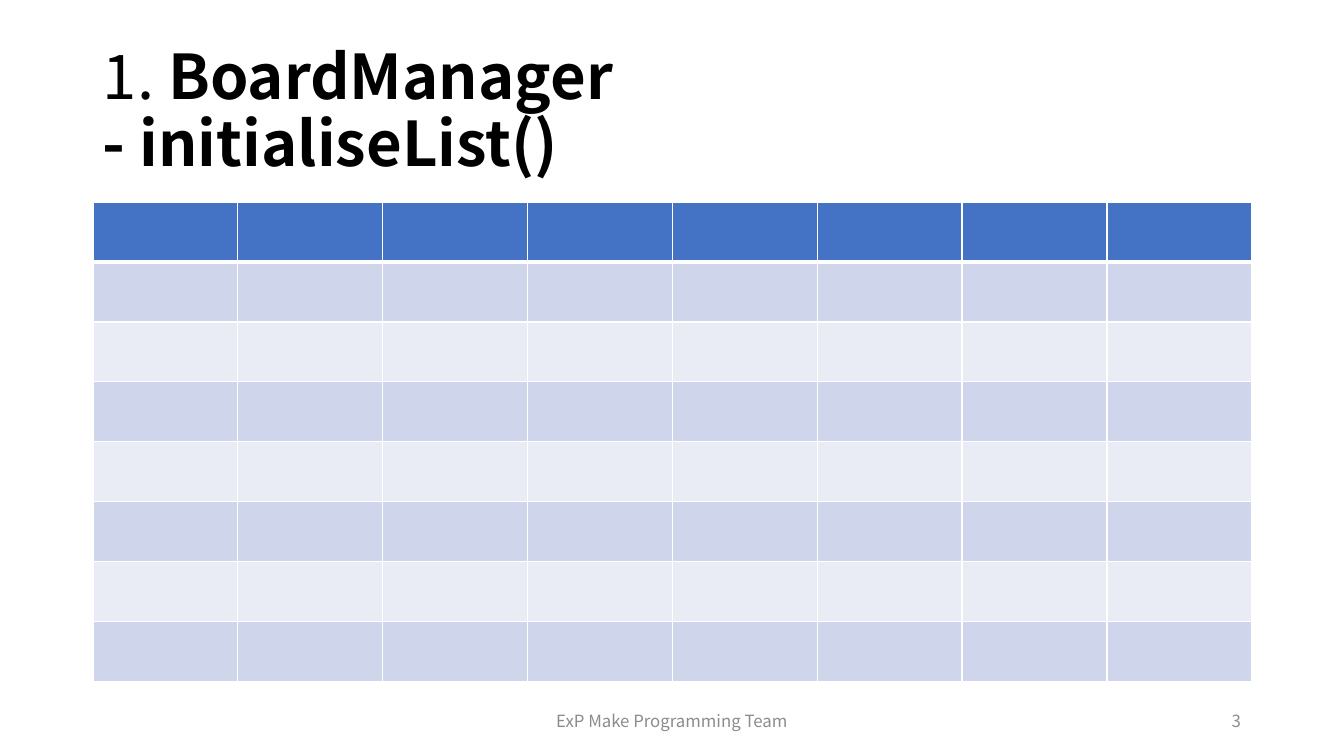
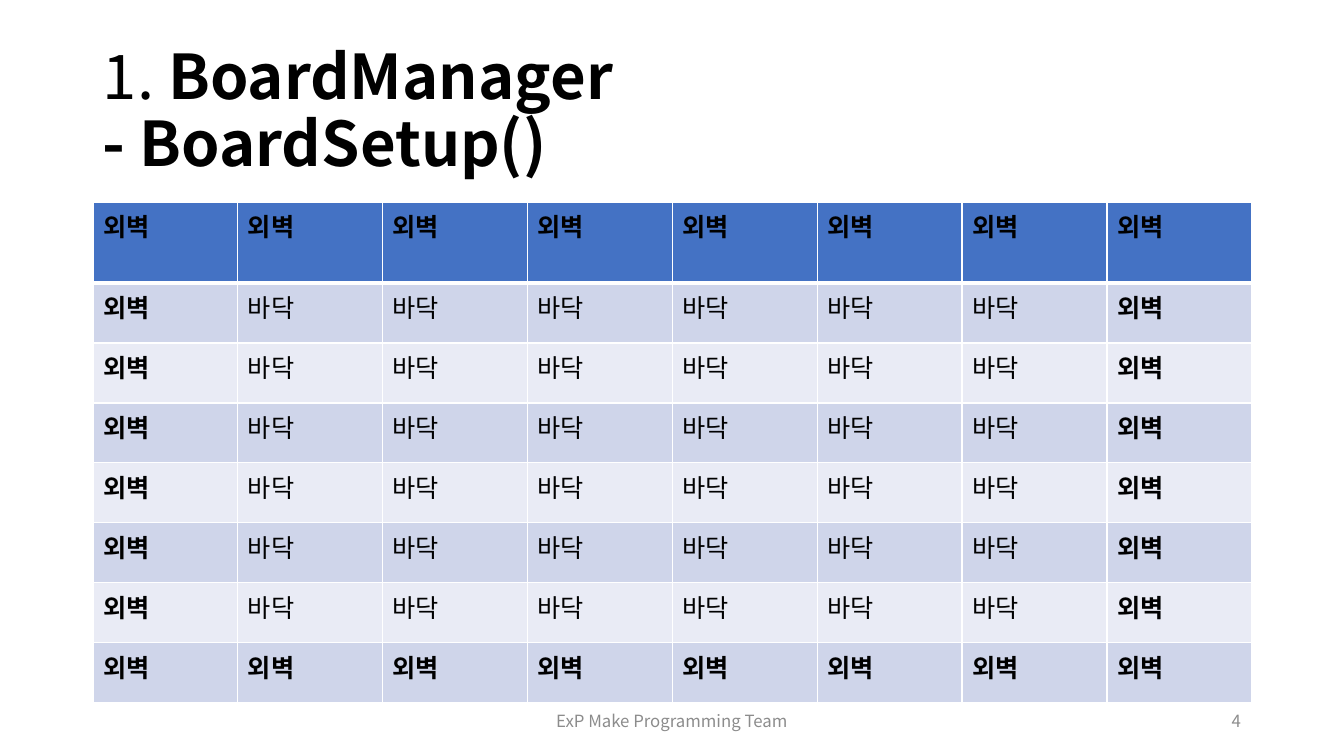
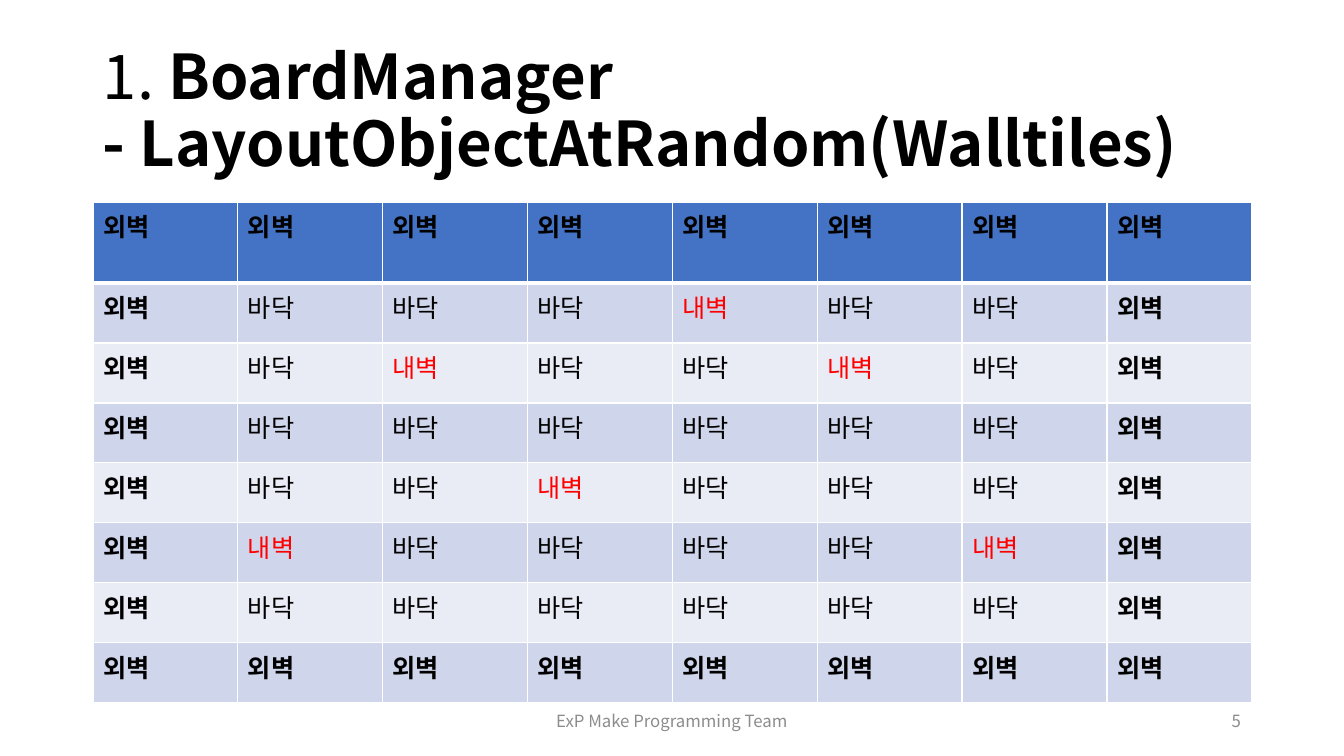
from lxml import etree
from pptx import Presentation
from pptx.dml.color import RGBColor
from pptx.enum.text import MSO_ANCHOR, PP_ALIGN
from pptx.oxml.ns import qn
from pptx.util import Pt

LEFT, CENTER, RIGHT = PP_ALIGN.LEFT, PP_ALIGN.CENTER, PP_ALIGN.RIGHT
MIDDLE = MSO_ANCHOR.MIDDLE
SCALE = 914400 / 100.8
FONT = "Noto Sans CJK KR"
BLACK, GREY, RED, WHITE = "000000", "8C8C8C", "FF0000", "FFFFFF"
HEADER, BANDS = "4472C4", ("E9EBF5", "CFD5EA")
OUTER_WALL, FLOOR, INNER_WALL = "외벽", "바닥", "내벽"
GRID = 8
ROW_HEIGHT, TALL_HEADER = 60, 81


def px(value):
    """Turn pixels into EMU."""
    return round(value * SCALE)


def color(code):
    """Turn a hex string into a colour."""
    return RGBColor.from_string(code)


def write(para, text, size=18, bold=False, ink=BLACK):
    """Add one formatted span of text to a paragraph."""
    span = para.add_run()
    span.text = text
    font = span.font
    font.name, font.size, font.bold = FONT, Pt(size), bold
    font.color.rgb = color(ink)
    east_asian = etree.SubElement(span._r.get_or_add_rPr(), qn("a:ea"))
    east_asian.set("typeface", FONT)


def add_border(cell, side, points):
    """Draw one white border of a cell; call before filling the cell."""
    properties = cell._tc.get_or_add_tcPr()
    line = etree.SubElement(properties, qn(f"a:ln{side}"), w=str(Pt(points)))
    fill = etree.SubElement(line, qn("a:solidFill"))
    etree.SubElement(fill, qn("a:srgbClr"), val=WHITE)


class BoardDeck:
    """Holds the presentation, the shared style and the current page."""

    def __init__(self):
        """Start an empty widescreen deck."""
        self.deck = Presentation()
        self.deck.slide_width, self.deck.slide_height = px(1344), px(756)
        self.page = None

    def add_page(self, number, method):
        """Add a page with its title and footer."""
        self.page = self.deck.slides.add_slide(self.deck.slide_layouts[6])
        title = self.add_box(93, 40, 1159, 146)
        title.line_spacing = 0.9
        write(title, "1. ", size=44)
        write(title, "BoardManager", size=44, bold=True)
        title.add_line_break()
        write(title, f"- {method}", size=44, bold=True)
        team = self.add_box(445, 701, 454, 40, align=CENTER)
        write(team, "ExP Make Programming Team", size=12, ink=GREY)
        page_number = self.add_box(949, 701, 302, 40, align=RIGHT)
        write(page_number, str(number), size=12, ink=GREY)

    def add_box(self, left, top, width, height, align=LEFT):
        """Add a wrapping text box and return its paragraph."""
        box = self.page.shapes.add_textbox(px(left), px(top), px(width), px(height))
        frame = box.text_frame
        frame.word_wrap, frame.vertical_anchor = True, MIDDLE
        para = frame.paragraphs[0]
        para.alignment = align
        return para

    def add_board(self, tiles=None, header_height=ROW_HEIGHT):
        """Add the board grid, with a word in each cell if tiles are given."""
        height = header_height + (GRID - 1) * ROW_HEIGHT
        board = self.page.shapes.add_table(
            GRID, GRID, px(93), px(202), px(1159), px(height)).table
        board.first_row = board.horz_banding = False
        for row_index, row in enumerate(board.rows):
            row.height = px(ROW_HEIGHT if row_index else header_height)
            for column_index, cell in enumerate(row.cells):
                self.style_cell(cell, row_index)
                if tiles:
                    tile = tiles[row_index][column_index]
                    write(cell.text_frame.paragraphs[0], tile,
                          bold=tile == OUTER_WALL,
                          ink=RED if tile == INNER_WALL else BLACK)

    def style_cell(self, cell, row_index):
        """Give a cell its borders and its header or band fill."""
        top = 3 if row_index == 1 else 1
        bottom = 3 if row_index == 0 else 1
        for side, points in (("L", 1), ("R", 1), ("T", top), ("B", bottom)):
            add_border(cell, side, points)
        cell.fill.solid()
        cell.fill.fore_color.rgb = color(BANDS[row_index % 2] if row_index else HEADER)


def make_tiles(inner_walls=()):
    """Return rows of floor tiles ringed by outer walls, with inner walls set."""
    edges = (0, GRID - 1)

    def tile_at(row, column):
        """Name the tile at one place."""
        if row in edges or column in edges:
            return OUTER_WALL
        return INNER_WALL if (row, column) in inner_walls else FLOOR

    return [[tile_at(row, column) for column in range(GRID)] for row in range(GRID)]


boards = BoardDeck()

boards.add_page(3, "initialiseList()")
boards.add_board()

boards.add_page(4, "BoardSetup()")
boards.add_board(make_tiles(), TALL_HEADER)

boards.add_page(5, "LayoutObjectAtRandom(Walltiles)")
random_walls = {(1, 4), (2, 2), (2, 5), (4, 3), (5, 1), (5, 6)}
boards.add_board(make_tiles(random_walls), TALL_HEADER)

boards.deck.save("out.pptx")
